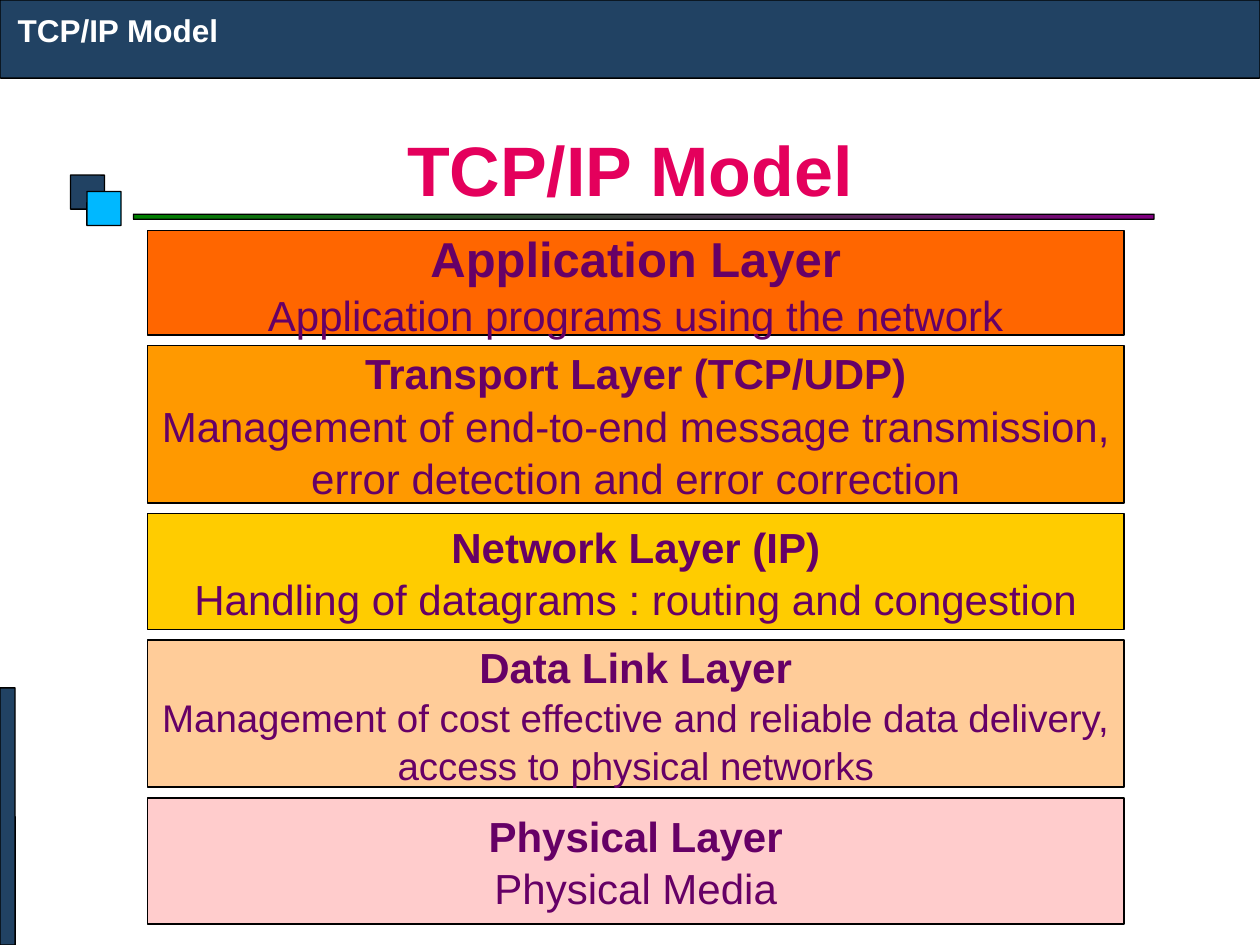
from dataclasses import dataclass

from pptx import Presentation
from pptx.dml.color import RGBColor
from pptx.enum.shapes import MSO_SHAPE
from pptx.enum.text import MSO_ANCHOR, PP_ALIGN
from pptx.util import Inches, Pt

RECT = MSO_SHAPE.RECTANGLE
ROUNDED = MSO_SHAPE.ROUNDED_RECTANGLE
CENTER, LEFT = PP_ALIGN.CENTER, PP_ALIGN.LEFT
MIDDLE, TOP = MSO_ANCHOR.MIDDLE, MSO_ANCHOR.TOP

COLORS = {
    "navy": "214263", "sky": "00B8FF", "pink": "E4005C", "white": "FFFFFF",
    "black": "000000", "plum": "660066", "purple": "800080", "green": "008000",
    "application": "FF6600", "transport": "FF9900", "network": "FFCC00",
    "data_link": "FFCC99", "physical": "FFCCCC",
}
FONT = "Arial"
STACK_LEFT, STACK_TOP, STACK_WIDTH, STACK_GAP = 1.17, 1.83, 7.75, 0.083


@dataclass
class Layer:
    name: str
    lines: list[str]
    color: str
    height: float
    name_size: int = 24
    line_size: int = 24


@dataclass
class Block:
    left: float
    top: float
    width: float
    height: float
    color: str = "navy"


LAYERS = [
    Layer("Application Layer", ["Application programs using the network"],
          "application", 0.83, name_size=28),
    Layer("Transport Layer (TCP/UDP)",
          ["Management of end-to-end message transmission,",
           "error detection and error correction"], "transport", 1.25),
    Layer("Network Layer (IP)", ["Handling of datagrams : routing and congestion"],
          "network", 0.92),
    Layer("Data Link Layer",
          ["Management of cost effective and reliable data delivery,",
           "access to physical networks"], "data_link", 1.17, line_size=22),
    Layer("Physical Layer", ["Physical Media"], "physical", 1),
]

HEADER = Block(0, 0, 10, 0.62)
SQUARES = [Block(0.56, 1.39, 0.27, 0.27), Block(0.69, 1.52, 0.27, 0.27, "sky")]
RULE = Block(1.06, 1.7, 8.1, 0.04)
SIDE_BAR = Block(0, 5.46, 0.12, 2.04)


def rgb(name: str) -> RGBColor:
    return RGBColor.from_string(COLORS[name])


def add_block(s, block: Block, kind=ROUNDED, line_width: float = 0.75):
    sp = s.shapes.add_shape(kind, Inches(block.left), Inches(block.top),
                            Inches(block.width), Inches(block.height))
    sp.shadow.inherit = False
    if kind == ROUNDED:
        sp.adjustments[0] = 0.01
    sp.fill.solid()
    sp.fill.fore_color.rgb = rgb(block.color)
    sp.line.color.rgb = rgb("black")
    sp.line.width = Pt(line_width)
    return sp


def add_run(p, text: str, size: float, color: str, bold: bool) -> None:
    r = p.add_run()
    r.text = text
    r.font.name = FONT
    r.font.size = Pt(size)
    r.font.bold = bold
    r.font.color.rgb = rgb(color)


def add_heading(s, box: Block, text: str, size: float, align, anchor, spacing: float) -> None:
    tf = s.shapes.add_textbox(Inches(box.left), Inches(box.top),
                              Inches(box.width), Inches(box.height)).text_frame
    tf.word_wrap = True
    tf.vertical_anchor = anchor
    tf.margin_left = tf.margin_right = tf.margin_top = tf.margin_bottom = 0
    p = tf.paragraphs[0]
    p.alignment = align
    p.line_spacing = spacing
    add_run(p, text, size, box.color, True)


def add_layer(s, layer: Layer, top: float) -> None:
    block = Block(STACK_LEFT, top, STACK_WIDTH, layer.height, layer.color)
    tf = add_block(s, block, RECT, 1).text_frame
    tf.word_wrap = False
    tf.vertical_anchor = MIDDLE
    for i, text in enumerate([layer.name, *layer.lines]):
        p = tf.paragraphs[0] if i == 0 else tf.add_paragraph()
        p.alignment = CENTER
        p.line_spacing = 1.04
        size = layer.name_size if i == 0 else layer.line_size
        add_run(p, text, size, "plum", i == 0)


def main() -> None:
    prs = Presentation()
    prs.slide_width, prs.slide_height = Inches(10), Inches(7.5)
    s = prs.slides.add_slide(prs.slide_layouts[6])

    # Title
    add_heading(s, Block(0.5, 0.75, 9, 1.17, "pink"), "TCP/IP Model", 40,
                CENTER, MIDDLE, 1.0)

    # Header band, corner squares and side bar
    for block in [HEADER, *SQUARES, SIDE_BAR]:
        add_block(s, block)

    # Gradient rule under the title
    fill = add_block(s, RULE).fill
    fill.gradient()
    fill.gradient_angle = 210
    for stop, color in zip(fill.gradient_stops, ["purple", "green"]):
        stop.color.rgb = rgb(color)

    # Header text
    add_heading(s, Block(0.14, 0.11, 6.36, 0.28, "white"), "TCP/IP Model", 18,
                LEFT, TOP, 0.95)

    # Stack of layers
    top = STACK_TOP
    for layer in LAYERS:
        add_layer(s, layer, top)
        top += layer.height + STACK_GAP

    prs.save("out.pptx")


if __name__ == "__main__":
    main()
